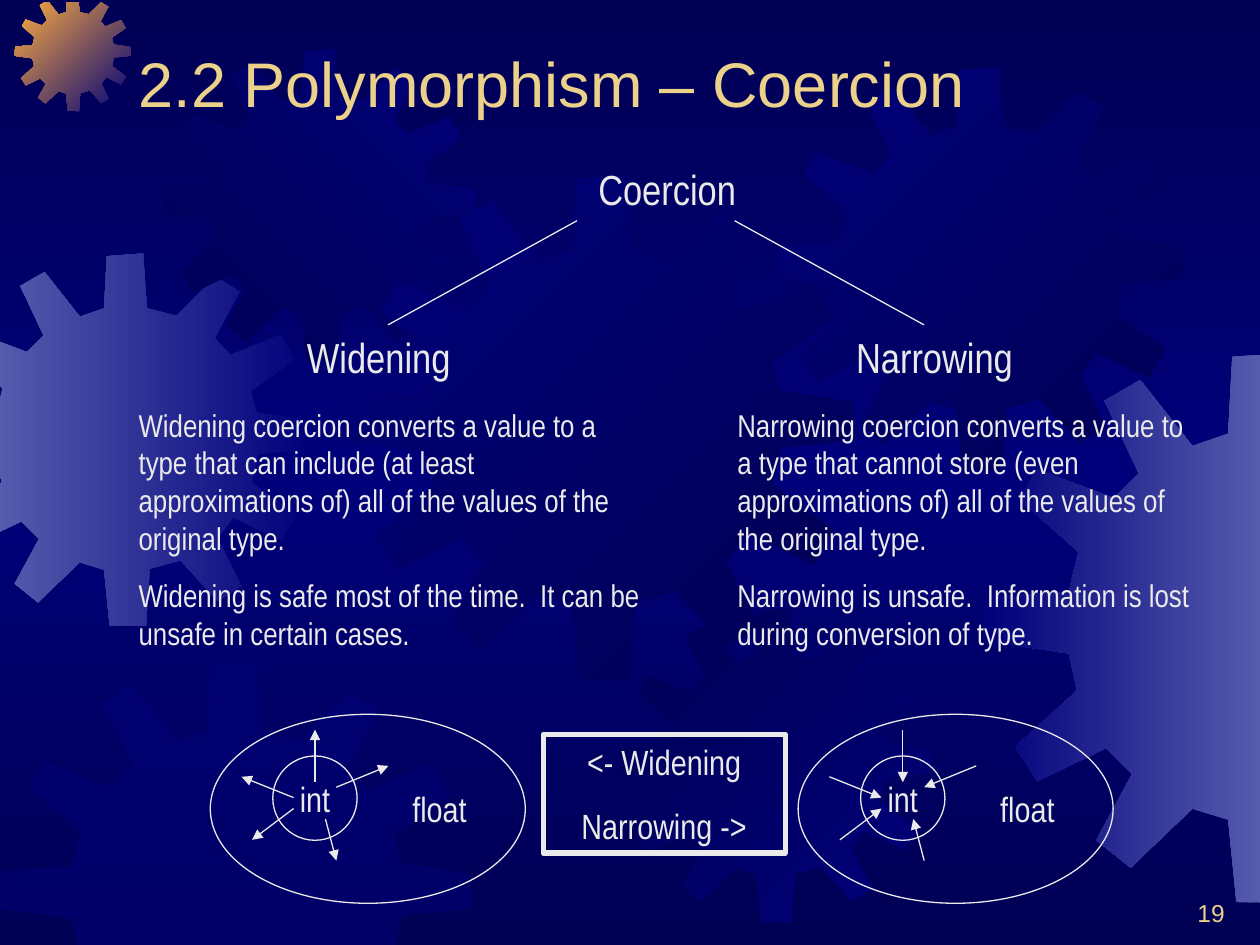
"""Build the slide on widening and narrowing coercion."""
import copy
import dataclasses
import typing

import lxml.etree
import pptx
import pptx.dml.color
import pptx.enum.shapes
import pptx.enum.text
import pptx.oxml.ns
import pptx.util

Cm = pptx.util.Cm
Pt = pptx.util.Pt
qn = pptx.oxml.ns.qn
Align = pptx.enum.text.PP_ALIGN
Anchor = pptx.enum.text.MSO_ANCHOR
Fit = pptx.enum.text.MSO_AUTO_SIZE
Kind = pptx.enum.shapes.MSO_SHAPE
Point = tuple[float, float]

COLORS = {"night": "000054", "navy": "00007A", "steel": "555BAD",
          "orange": "FCAB40", "gold": "EBD189", "white": "EAEAEA"}
NARROW = "Arial Narrow"
EDGES = ((0, -0.03, 1), (1, 0.05, 1), (0, 25.43, -1), (1, 19.15, -1))
COG_SIZE = 401
COG = [
    (255, 67), (223, 59), (219, 0), (180, 3), (177, 59), (151, 68), (113, 20), (87, 35),
    (112, 88), (94, 106), (38, 85), (25, 107), (68, 145), (61, 174), (1, 178), (0, 210),
    (61, 219), (67, 246), (22, 287), (38, 312), (88, 288), (107, 307), (81, 355), (106, 375),
    (151, 332), (177, 340), (183, 400), (222, 401), (226, 339), (259, 330), (299, 374), (325, 358),
    (299, 306), (316, 284), (368, 309), (384, 281), (336, 246), (342, 216), (401, 210), (400, 180),
    (341, 171), (335, 148), (383, 114), (367, 87), (313, 109), (296, 91), (323, 41), (297, 25)]


class Box(typing.NamedTuple):
    left: float
    top: float
    width: float
    height: float


@dataclasses.dataclass
class Gear:
    left: float
    top: float
    size: float
    first: str
    last: str = ""
    turn: int = 225


@dataclasses.dataclass
class Style:
    size: float
    font: str = NARROW
    color: str = "white"
    align: Align = Align.CENTER
    gap: float = 0
    anchor: Anchor = Anchor.TOP
    wrap: bool = True


GEARS = [
    Gear(-1.22, 5.11, 7.52, "navy", "steel", 180),
    Gear(0.3, -0.1, 2.34, "navy", "orange"),
    Gear(3.3, 0.99, 6.3, "navy", "night", 135),
    Gear(7.04, 3.53, 10.19, "night", "navy"),
    Gear(0, 13.34, 9.5, "navy"),
    Gear(12.47, 12.29, 6.3, "navy", "night"),
    Gear(15.7, 1.35, 8.13, "night", "navy"),
    Gear(19.86, 7.11, 11.1, "steel", "navy", 180)]
HEAD = Style(24)
BODY = Style(18, align=Align.LEFT, gap=11.2)
LABELS = [
    ("Coercion", Box(9.32, 3.18, 8.26, 1.27), HEAD),
    ("Widening", Box(4.88, 6.55, 5.51, 1.27), HEAD),
    ("Narrowing", Box(15.88, 6.55, 5.92, 1.27), HEAD),
    ("19", Box(19.66, 17.98, 5.28, 0.85),
     Style(14, "Arial", "gold", Align.RIGHT, anchor=Anchor.BOTTOM))]
BODIES = [
    (Box(2.54, 8.05, 10.69, 5.23),
     ["Widening coercion converts a value to a type that can include (at least "
      "approximations of) all of the values of the original type.",
      "Widening is safe most of the time.  It can be unsafe in certain cases."]),
    (Box(14.61, 8.05, 9.73, 5.23),
     ["Narrowing coercion converts a value to a type that cannot store (even "
      "approximations of) all of the values of the original type.",
      "Narrowing is unsafe.  Information is lost during conversion of type."])]
BRANCHES = [((11.63, 4.45), (7.82, 6.55)), ((14.81, 4.45), (18.63, 6.55))]
RAYS = [((0.43, -0.21), (1.48, -0.64)), ((0.21, 0.43), (0.43, 1.27)),
        ((-0.43, 0.22), (-1.27, 0.85)), ((-0.43, 0), (-1.48, -0.42)),
        ((0, -0.31), (0, -1.37))]
HUB = (6.35, 16.08)
SHIFT = 11.85


def tint(name: str) -> pptx.dml.color.RGBColor:
    return pptx.dml.color.RGBColor.from_string(COLORS[name])


def blend(fill, names: list[str], turn: int) -> None:
    fill.gradient_angle = 360 - turn
    for i, (stop, name) in enumerate(zip(fill.gradient_stops, names)):
        stop.color.rgb = tint(name)
        stop.position = i / (len(names) - 1)


def clip(points: list[Point]) -> list[Point]:
    for axis, edge, sign in EDGES:
        kept = []
        for a, b in zip(points[-1:] + points[:-1], points):
            da, db = sign * (a[axis] - edge), sign * (b[axis] - edge)
            if da * db < 0:
                part = da / (da - db)
                kept.append((a[0] + part * (b[0] - a[0]), a[1] + part * (b[1] - a[1])))
            if db >= 0:
                kept.append(b)
        points = kept
    return points


def draw_gear(slide, gear: Gear) -> None:
    scale = gear.size / COG_SIZE
    points = clip([(gear.left + x * scale, gear.top + y * scale) for x, y in COG])
    spots = [(Cm(x), Cm(y)) for x, y in points]
    path = slide.shapes.build_freeform(*spots[0])
    path.add_line_segments(spots[1:], close=True)
    shape = path.convert_to_shape()
    shape.shadow.inherit = False
    shape.line.fill.background()
    if gear.last:
        shape.fill.gradient()
        blend(shape.fill, [gear.first, gear.last], gear.turn)
    else:
        shape.fill.solid()
        shape.fill.fore_color.rgb = tint(gear.first)
        color = shape.element.spPr.find(".//" + qn("a:srgbClr"))
        lxml.etree.SubElement(color, qn("a:alpha")).set("val", "50000")


def write(shape, lines: list[str], style: Style) -> None:
    frame = shape.text_frame
    frame.word_wrap = style.wrap
    frame.auto_size = Fit.NONE
    frame.vertical_anchor = style.anchor
    for i, line in enumerate(lines):
        para = frame.add_paragraph() if i else frame.paragraphs[0]
        props = para._p.get_or_add_pPr()
        props.set("marL", "0")
        props.set("indent", "0")
        lxml.etree.SubElement(props, qn("a:buNone"))
        para.alignment = style.align
        para.space_before = Pt(style.gap if i else 0)
        run = para.add_run()
        run.text = line
        run.font.size = Pt(style.size)
        run.font.name = style.font
        run.font.color.rgb = tint(style.color)


def place(holder, box: Box, lines: list[str], style: Style) -> None:
    holder.left, holder.top, holder.width, holder.height = map(Cm, box)
    holder.element.getparent().append(holder.element)
    write(holder, lines, style)


def draw_line(slide, start: Point, end: Point, tip: str = "") -> None:
    line = slide.shapes.add_connector(
        pptx.enum.shapes.MSO_CONNECTOR.STRAIGHT, *map(Cm, start + end))
    line.line.color.rgb = tint("white")
    line.line.width = Pt(0.75)
    if tip:
        lxml.etree.SubElement(line.line._get_or_add_ln(), qn(tip)).set("type", "triangle")
    lxml.etree.SubElement(line.element.spPr, qn("a:effectLst"))


def draw_shape(slide, kind: Kind, box: Box, lines: list[str], style: Style,
               weight: float = 0.75) -> None:
    shape = slide.shapes.add_shape(kind, *map(Cm, box))
    shape.shadow.inherit = False
    shape.fill.background()
    shape.line.color.rgb = tint("white")
    shape.line.width = Pt(weight)
    write(shape, lines, style)


def draw_set(slide, shift: float, tip: str) -> None:
    x, y = HUB[0] + shift, HUB[1]
    for (ax, ay), (bx, by) in RAYS:
        draw_line(slide, (x + ax, y + ay), (x + bx, y + by), tip)
    for word, box, align in (("int", Box(5.5, 15.24, 1.7, 1.7), Align.CENTER),
                             ("float", Box(4.24, 14.4, 6.35, 3.81), Align.RIGHT)):
        draw_shape(slide, Kind.OVAL, box._replace(left=box.left + shift), [word],
                   Style(20, align=align, anchor=Anchor.MIDDLE, wrap=False))


def main() -> None:
    deck = pptx.Presentation()
    deck.slide_width, deck.slide_height = Cm(25.4), Cm(19.05)
    slide = deck.slides.add_slide(deck.slide_layouts[3])
    back = slide.background.fill
    back.gradient()
    stops = slide.element.find(".//" + qn("a:gsLst"))
    stops.append(copy.deepcopy(stops[0]))
    blend(back, ["night", "navy", "night"], 90)
    for gear in GEARS:
        draw_gear(slide, gear)
    place(slide.shapes.title, Box(2.54, 0.43, 22.43, 2.11), ["2.2 Polymorphism – Coercion"],
          Style(36, "Arial", "gold", Align.LEFT, anchor=Anchor.BOTTOM))
    for i, (box, lines) in enumerate(BODIES, 1):
        place(slide.placeholders[i], box, lines, BODY)
    for text, box, style in LABELS:
        write(slide.shapes.add_textbox(*map(Cm, box)), [text], style)
    for start, end in BRANCHES:
        draw_line(slide, start, end)
    draw_set(slide, 0, "a:tailEnd")
    draw_set(slide, SHIFT, "a:headEnd")
    draw_shape(slide, Kind.RECTANGLE, Box(10.95, 14.81, 4.88, 2.39),
               ["<- Widening", "Narrowing ->"], Style(20, gap=12.5), 3)
    deck.save("out.pptx")


if __name__ == "__main__":
    main()
